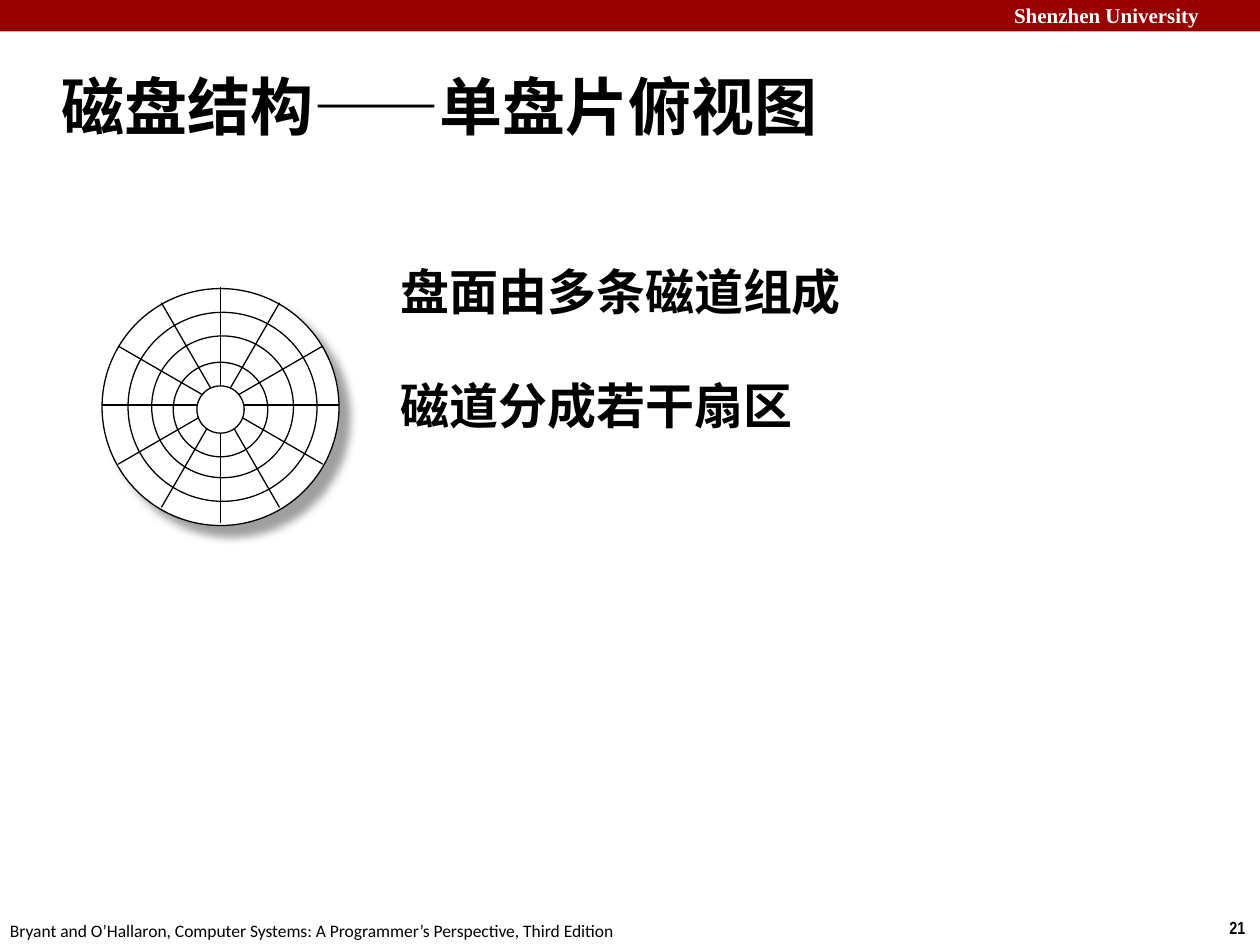
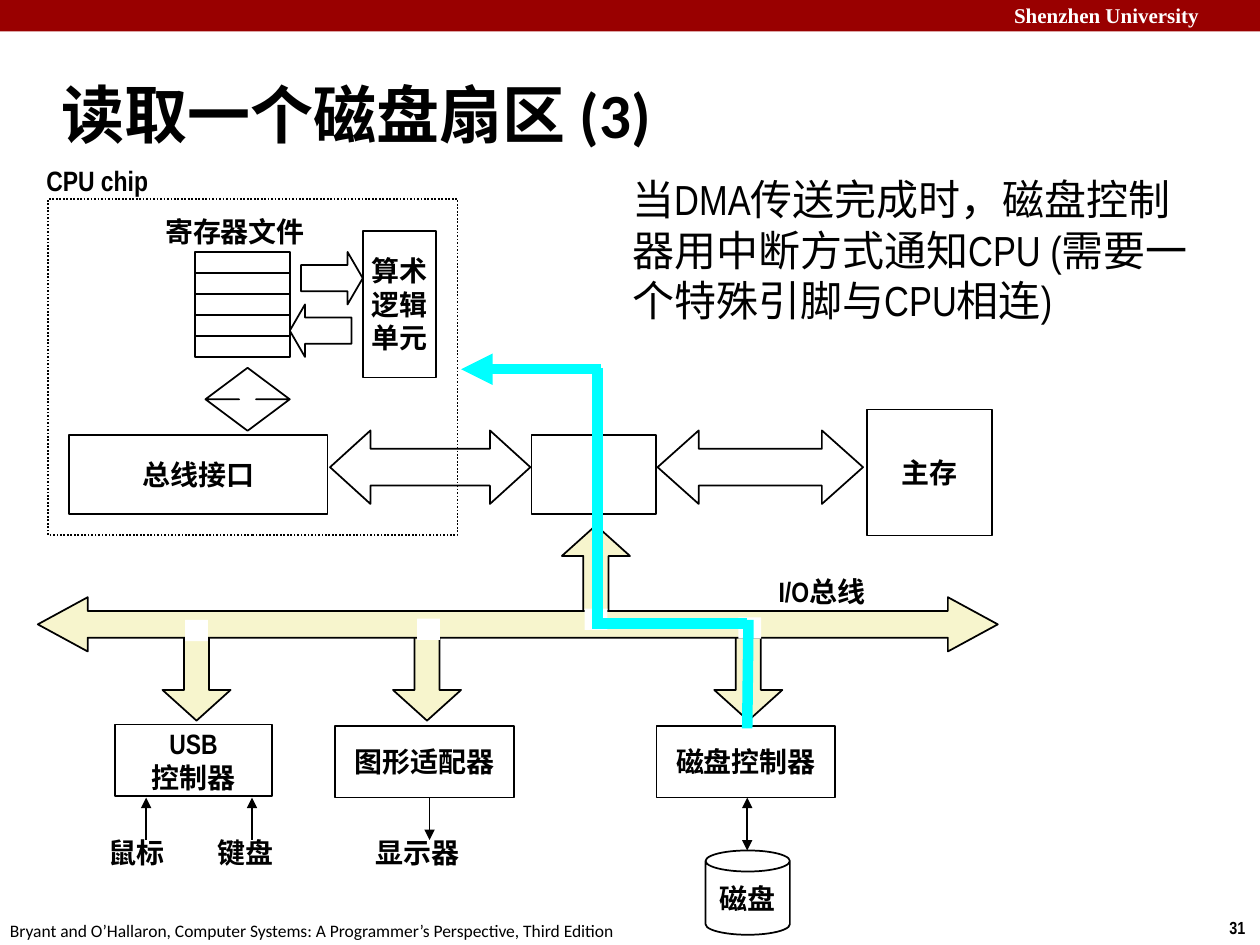
import math

import pptx
import pptx.dml.color
import pptx.enum.dml
import pptx.enum.shapes
import pptx.enum.text
import pptx.util
from lxml import etree
from pptx.oxml.ns import qn

Pt = pptx.util.Pt
color = pptx.dml.color.RGBColor.from_string
SHAPE = pptx.enum.shapes.MSO_SHAPE
ALIGN = pptx.enum.text.PP_ALIGN
ANCHOR = pptx.enum.text.MSO_ANCHOR

BLACK = "000000"
WHITE = "FFFFFF"
BAND_RED = "990000"
BUS_CREAM = "F7F5CD"
SIGNAL_CYAN = "00FFFF"
FOOTER = "Bryant and O’Hallaron, Computer Systems: A Programmer’s Perspective, Third Edition"


def add_box(slide, kind, left, top, width, height, text="", fill=None, line=BLACK,
            line_width=1, adjustments=(), size=16, font="Arial Narrow", bold=True,
            text_color=BLACK, align=ALIGN.CENTER, anchor=ANCHOR.MIDDLE, wrap=False):
    place = Pt(left), Pt(top), Pt(width), Pt(height)
    if kind is None:
        shape = slide.shapes.add_textbox(*place)
    else:
        shape = slide.shapes.add_shape(kind, *place)
        shape.shadow.inherit = False
        if fill:
            shape.fill.solid()
            shape.fill.fore_color.rgb = color(fill)
        else:
            shape.fill.background()
        if line:
            shape.line.color.rgb = color(line)
            shape.line.width = Pt(line_width)
        else:
            shape.line.fill.background()
        for index, value in enumerate(adjustments):
            shape.adjustments[index] = value
    if text:
        frame = shape.text_frame
        frame.word_wrap = wrap
        frame.vertical_anchor = anchor
        frame.text = text
        for paragraph in frame.paragraphs:
            paragraph.alignment = align
            paragraph.font.size = Pt(size)
            paragraph.font.name = font
            paragraph.font.bold = bold
            paragraph.font.color.rgb = color(text_color)
    return shape


def add_line(slide, start_x, start_y, end_x, end_y, line=BLACK, width=1, arrowheads=()):
    connector = slide.shapes.add_connector(
        pptx.enum.shapes.MSO_CONNECTOR.STRAIGHT, Pt(start_x), Pt(start_y), Pt(end_x), Pt(end_y))
    connector.line.color.rgb = color(line)
    connector.line.width = Pt(width)
    properties = connector._element.spPr
    for end in arrowheads:
        etree.SubElement(properties.find(qn("a:ln")), qn(f"a:{end}"), type="triangle")
    etree.SubElement(properties, qn("a:effectLst"))


presentation = pptx.Presentation()
presentation.slide_width = Pt(720)
presentation.slide_height = Pt(540)

slides = []
for title, title_top, title_width, number in [
    ("磁盘结构——单盘片俯视图", 30.2, 668, "21"),
    ("读取一个磁盘扇区 (3)", 34.6, 598, "31"),
]:
    slide = presentation.slides.add_slide(presentation.slide_layouts[6])
    add_box(slide, SHAPE.RECTANGLE, 0, 0, 720, 18, fill=BAND_RED, line=None)
    add_box(slide, None, 572.4, -2.2, 152.6, 21.6, "Shenzhen University", size=12,
            font="Times New Roman", text_color=WHITE, align=ALIGN.LEFT, anchor=ANCHOR.TOP, wrap=True)
    add_box(slide, None, 695.5, 520.6, 24.5, 19.4, number, size=10,
            align=ALIGN.LEFT, anchor=ANCHOR.TOP)
    add_box(slide, None, -1.4, 522, 366.5, 19.4, FOOTER, size=10, font="Calibri", bold=False,
            align=ALIGN.LEFT, anchor=ANCHOR.TOP)
    add_box(slide, None, 28.1, title_top, title_width, 59.8, title, size=36, font="Calibri",
            align=ALIGN.LEFT, wrap=True)
    slides.append(slide)
platter_slide, sector_slide = slides

platter = add_box(platter_slide, SHAPE.OVAL, 58.3, 164.9, 135.4, 135.4, fill=WHITE, line_width=0.75)
shadow = etree.SubElement(platter._element.spPr.find(qn("a:effectLst")), qn("a:outerShdw"),
                          blurRad=str(Pt(5)), dist=str(Pt(8.5)), dir="2700000", algn="ctr", rotWithShape="0")
shadow_color = etree.SubElement(shadow, qn("a:srgbClr"), val="808080")
etree.SubElement(shadow_color, qn("a:alpha"), val="75000")

for spoke in range(6):
    angle = math.radians(30 * spoke)
    reach_x, reach_y = 67.5 * math.sin(angle), 67.5 * math.cos(angle)
    add_line(platter_slide, 126 + reach_x, 231.5 - reach_y, 126 - reach_x, 231.5 + reach_y, width=0.75)

for diameter, center_x, center_y, fill in [
    (27, 126, 234, WHITE), (108, 127.2, 232.5, None), (81, 127.2, 232.5, None), (54, 126, 234, None),
]:
    add_box(platter_slide, SHAPE.OVAL, center_x - diameter / 2, center_y - diameter / 2,
            diameter, diameter, fill=fill, line_width=0.75)

for top, fact in [(120.2, "盘面由多条磁道组成"), (185.8, "磁道分成若干扇区")]:
    add_box(platter_slide, None, 221.8, top, 450, 66.2, fact, size=28, font="Arial",
            align=ALIGN.LEFT, anchor=ANCHOR.BOTTOM, wrap=True)

for register in range(5):
    add_box(sector_slide, SHAPE.RECTANGLE, 111.6, 144 + 12 * register, 54, 12)

for left, top, width, height, text in [
    (495.4, 234, 71.3, 72, "主存"),
    (303.8, 248.4, 71.3, 45.4, ""),
    (39.6, 248.4, 147.6, 45.4, "总线接口"),
    (207.4, 131.8, 41.8, 84, "算术\n逻辑\n单元"),
    (375.1, 414.7, 102.2, 41, "磁盘控制器"),
    (191.5, 414.7, 102.2, 41, "图形适配器"),
    (65.5, 414, 90, 41, "USB\n控制器"),
]:
    add_box(sector_slide, SHAPE.RECTANGLE, left, top, width, height, text)

chip = add_box(sector_slide, SHAPE.RECTANGLE, 27.4, 113.8, 234, 192)
chip.line.dash_style = pptx.enum.dml.MSO_LINE.ROUND_DOT

for kind, left, top, width, height, adjustments, fill in [
    (SHAPE.LEFT_RIGHT_ARROW, 375.8, 246, 117.4, 42, (0.5, 0.56), None),
    (SHAPE.LEFT_RIGHT_ARROW, 188.6, 246, 114.5, 42, (0.5, 0.55), None),
    (SHAPE.RIGHT_ARROW, 172, 144, 35.3, 30, (0.5, 0.29), None),
    (SHAPE.LEFT_ARROW, 165.6, 174, 35.3, 30, (0.5, 0.29), None),
    (SHAPE.UP_DOWN_ARROW, 117.4, 210.2, 48.2, 36, (0.5, 0.2), None),
    (SHAPE.UP_ARROW, 321.1, 300.2, 38.9, 54, (0.37, 0.45), BUS_CREAM),
    (SHAPE.DOWN_ARROW, 92.9, 357.8, 38.9, 54, (0.37, 0.45), BUS_CREAM),
    (SHAPE.DOWN_ARROW, 224.6, 357.8, 38.9, 54, (0.37, 0.45), BUS_CREAM),
    (SHAPE.DOWN_ARROW, 408.2, 357.8, 38.9, 54, (0.37, 0.45), BUS_CREAM),
    (SHAPE.LEFT_RIGHT_ARROW, 21.6, 341.3, 548.6, 31, (0.49, 0.92), BUS_CREAM),
]:
    add_box(sector_slide, kind, left, top, width, height, fill=fill, adjustments=adjustments)

for left, top in [(105.8, 354.2), (238.3, 353.5), (421.9, 352.8), (334.1, 347.8)]:
    add_box(sector_slide, SHAPE.RECTANGLE, left, top, 13, 12.2, fill=WHITE, line=None)

for x, bottom, arrowheads in [
    (83.5, 480, ["headEnd"]),
    (144, 480, ["headEnd"]),
    (245.5, 480, ["tailEnd"]),
    (427, 486, ["headEnd", "tailEnd"]),
]:
    add_line(sector_slide, x, 455.8, x, bottom, arrowheads=arrowheads)

add_box(sector_slide, SHAPE.CAN, 403.2, 486, 48.2, 48.2, "磁盘", adjustments=(0.25,))

for left, top, width, text, align, wrap in [
    (87.1, 118.8, 94.3, "寄存器文件", ALIGN.CENTER, False),
    (19.4, 90, 85.7, "CPU chip", ALIGN.LEFT, False),
    (54.7, 473.8, 46.8, "鼠标", ALIGN.CENTER, False),
    (117.4, 473.8, 46.1, "键盘", ALIGN.CENTER, False),
    (207.4, 473.8, 62.6, "显示器", ALIGN.CENTER, False),
    (437.8, 324.7, 64.1, "I/O总线", ALIGN.LEFT, True),
]:
    add_box(sector_slide, None, left, top, width, 26.6, text, align=align, wrap=wrap)

for start_x, start_y, end_x, end_y, arrowheads in [
    (343.4, 211, 263.5, 211, ["tailEnd"]),
    (341.3, 210.2, 341.3, 354.2, []),
    (338.4, 356.4, 427, 356.4, []),
    (427.7, 354.2, 427, 416.2, []),
]:
    add_line(sector_slide, start_x, start_y, end_x, end_y, SIGNAL_CYAN, 6, arrowheads)

add_box(sector_slide, None, 354.2, 95.8, 342, 93.6,
        "当DMA传送完成时，磁盘控制器用中断方式通知CPU (需要一个特殊引脚与CPU相连)",
        size=24, bold=False, align=ALIGN.LEFT, anchor=ANCHOR.TOP, wrap=True)

presentation.save("out.pptx")
